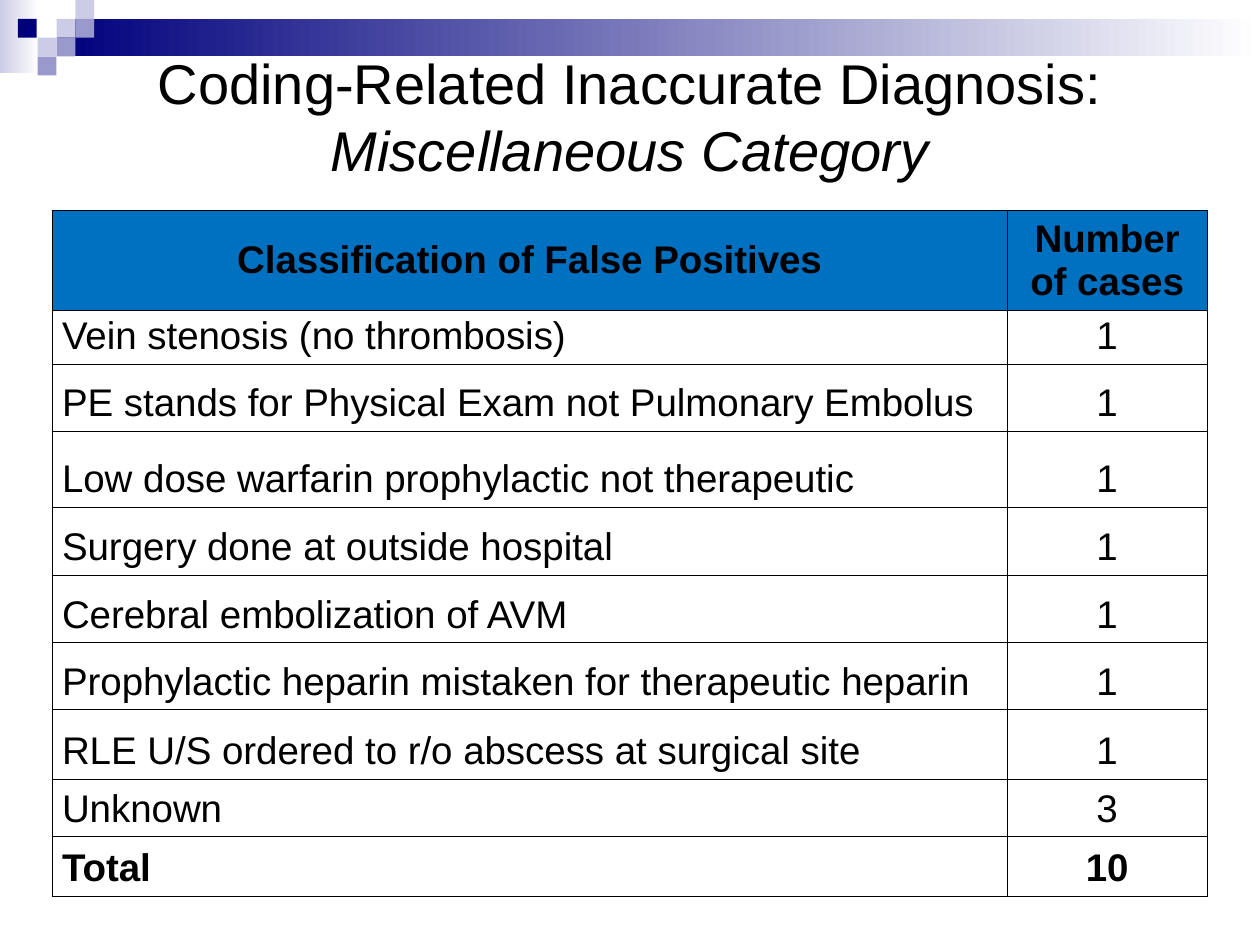
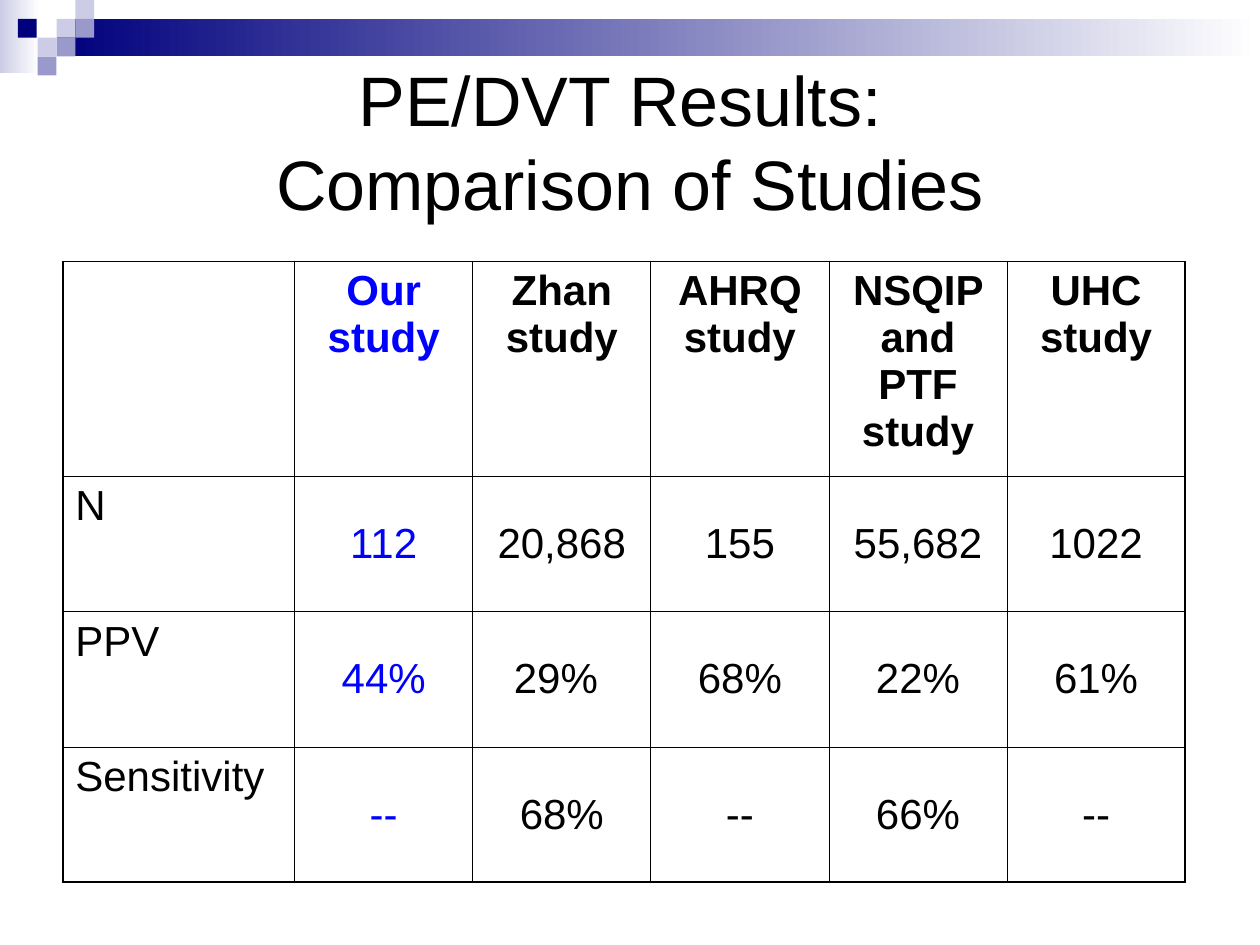
from collections.abc import Callable
from dataclasses import dataclass

import pptx
import pptx.dml.color
import pptx.enum.shapes
import pptx.enum.text
import pptx.oxml.ns
import pptx.slide
import pptx.table
import pptx.util
from lxml import etree

Cm = pptx.util.Cm
Pt = pptx.util.Pt
RGB = pptx.dml.color.RGBColor
ALIGN = pptx.enum.text.PP_ALIGN
ANCHOR = pptx.enum.text.MSO_ANCHOR
qn = pptx.oxml.ns.qn


@dataclass(frozen=True)
class Theme:
    font: str = "Arial"
    black: RGB = RGB(0x00, 0x00, 0x00)
    white: RGB = RGB(0xFF, 0xFF, 0xFF)
    navy: RGB = RGB(0x00, 0x00, 0x7D)
    lilac: RGB = RGB(0x99, 0x99, 0xCC)
    pale: RGB = RGB(0xCC, 0xCC, 0xE6)
    header: RGB = RGB(0x00, 0x70, 0xC0)
    highlight: RGB = RGB(0x00, 0x00, 0xFF)
    title_small: float = 32
    title_large: float = 40
    cases_text: float = 22
    studies_text: float = 24
    thin: float = 0.45
    thick: float = 1.08


THEME = Theme()


@dataclass(frozen=True)
class Band:
    left: float
    top: float
    width: float
    height: float
    colors: tuple[RGB, ...]  # one colour is solid, two are a gradient


@dataclass(frozen=True)
class Title:
    text: str
    top: float
    height: float
    size: float
    italic_last: bool = False


@dataclass(frozen=True)
class CellStyle:
    anchor: ANCHOR
    align: ALIGN = ALIGN.CENTER
    bold: bool = False
    color: RGB = THEME.black
    fill: RGB | None = None


@dataclass(frozen=True)
class Grid:
    left: float
    top: float
    widths: list[float]
    heights: list[float]
    values: list[tuple[str, ...]]
    size: float
    pad: float
    outer: float  # weight of the outside border
    style: Callable[[int, int], CellStyle]


# Corner mosaic and top bar: squares sit on a grid of one unit
UNIT = 0.38
SQUARES = [(3, 1, THEME.pale), (4, 0, THEME.pale), (4, 1, THEME.lilac),
           (2, 2, THEME.pale), (0.95, 1, THEME.navy), (3, 2, THEME.lilac),
           (2, 3, THEME.lilac)]
BANDS = [
    Band(0, 0, 0.79, 1.47, (THEME.pale, THEME.white)),
    Band(3 * UNIT, UNIT, 25.4 - 3 * UNIT, 2 * UNIT, (THEME.navy, THEME.white)),
    *(Band(col * UNIT, row * UNIT, UNIT, UNIT, (color,))
      for col, row, color in SQUARES),
]

# Slide content
CASES = [
    ("Classification of False Positives", "Number of cases"),
    ("Vein stenosis (no thrombosis)", "1"),
    ("PE stands for Physical Exam not Pulmonary Embolus", "1"),
    ("Low dose warfarin prophylactic not therapeutic", "1"),
    ("Surgery done at outside hospital", "1"),
    ("Cerebral embolization of AVM", "1"),
    ("Prophylactic heparin mistaken for therapeutic heparin", "1"),
    ("RLE U/S ordered to r/o abscess at surgical site", "1"),
    ("Unknown", "3"),
    ("Total", "10"),
]
STUDIES = [
    ("", "Our study", "Zhan study", "AHRQ study", "NSQIP and PTF study",
     "UHC study"),
    ("N", "112", "20,868", "155", "55,682", "1022"),
    ("PPV", "44%", "29% ", "68%", "22%", "61%"),
    ("Sensitivity", "--", "68%", "--", "66%", "--"),
]


def case_style(row: int, col: int) -> CellStyle:
    head = row == 0
    return CellStyle(
        anchor=ANCHOR.MIDDLE if head and col == 0 else ANCHOR.BOTTOM,
        align=ALIGN.CENTER if head or col else ALIGN.LEFT,
        bold=head or row == len(CASES) - 1,
        fill=THEME.header if head else None)


def study_style(row: int, col: int) -> CellStyle:
    return CellStyle(
        anchor=ANCHOR.MIDDLE if row and col else ANCHOR.TOP,
        align=ALIGN.CENTER if col else ALIGN.LEFT,
        bold=row == 0,
        color=THEME.highlight if col == 1 else THEME.black)


SLIDES = [
    (Title("Coding-Related Inaccurate Diagnosis:\vMiscellaneous Category",
           0.84, 2.97, THEME.title_small, italic_last=True),
     Grid(1.05, 4.24, [19.26, 4.02],
          [2.01, 1.1, 1.35, 1.52, 1.37, 1.37, 1.35, 1.4, 1.16, 1.2],
          CASES, THEME.cases_text, 0.2, THEME.thin, case_style)),
    (Title("PE/DVT Results: \vComparison of Studies",
           1.47, 2.74, THEME.title_large),
     Grid(1.27, 5.27, [4.67] + [3.59] * 5, [4.33, 2.73, 2.73, 2.72],
          STUDIES, THEME.studies_text, 0.25, THEME.thick, study_style)),
]


def add_band(s: pptx.slide.Slide, band: Band) -> None:
    sp = s.shapes.add_shape(
        pptx.enum.shapes.MSO_SHAPE.RECTANGLE, Cm(band.left), Cm(band.top),
        Cm(band.width), Cm(band.height))
    sp.shadow.inherit = False
    sp.line.fill.background()
    if len(band.colors) == 1:
        sp.fill.solid()
        sp.fill.fore_color.rgb = band.colors[0]
        return
    sp.fill.gradient()
    sp.fill.gradient_angle = 0
    for stop, color in zip(sp.fill.gradient_stops, band.colors):
        stop.color.rgb = color


def add_title(s: pptx.slide.Slide, title: Title) -> None:
    sp = s.shapes.add_textbox(Cm(1.27), Cm(title.top), Cm(22.86),
                              Cm(title.height))
    tf = sp.text_frame
    tf.word_wrap = True
    tf.vertical_anchor = ANCHOR.MIDDLE
    p = tf.paragraphs[0]
    p.text = title.text
    p.alignment = ALIGN.CENTER
    for r in p.runs:
        r.font.name = THEME.font
        r.font.size = Pt(title.size)
        r.font.color.rgb = THEME.black
    if title.italic_last:
        p.runs[-1].font.italic = True


def add_border(cell: pptx.table._Cell, side: str, weight: float) -> None:
    tc_pr = cell._tc.get_or_add_tcPr()
    ln = etree.SubElement(tc_pr, qn(f"a:ln{side}"), w=str(Pt(weight)))
    fill = etree.SubElement(ln, qn("a:solidFill"))
    etree.SubElement(fill, qn("a:srgbClr"), val=str(THEME.black))


def format_cell(cell: pptx.table._Cell, text: str, style: CellStyle,
                grid: Grid) -> None:
    cell.margin_left = cell.margin_right = Cm(grid.pad)
    # Bottom-anchored text needs no top margin, so low rows keep their height
    cell.margin_top = Cm(0 if style.anchor == ANCHOR.BOTTOM else 0.13)
    cell.margin_bottom = Cm(0.13)
    cell.vertical_anchor = style.anchor
    if style.fill is None:
        cell.fill.background()
    else:
        cell.fill.solid()
        cell.fill.fore_color.rgb = style.fill
    p = cell.text_frame.paragraphs[0]
    p.text = text
    p.alignment = style.align
    for r in p.runs:
        r.font.name = THEME.font
        r.font.size = Pt(grid.size)
        r.font.bold = style.bold
        r.font.color.rgb = style.color


def add_grid(s: pptx.slide.Slide, grid: Grid) -> None:
    n_rows, n_cols = len(grid.heights), len(grid.widths)
    table = s.shapes.add_table(
        n_rows, n_cols, Cm(grid.left), Cm(grid.top),
        Cm(sum(grid.widths)), Cm(sum(grid.heights))).table
    table.first_row = table.horz_banding = False
    for column, width in zip(table.columns, grid.widths):
        column.width = Cm(width)
    for table_row, height in zip(table.rows, grid.heights):
        table_row.height = Cm(height)
    for row, values in enumerate(grid.values):
        for col, text in enumerate(values):
            cell = table.cell(row, col)
            on_edge = {"L": col == 0, "R": col == n_cols - 1,
                       "T": row == 0, "B": row == n_rows - 1}
            for side, outside in on_edge.items():
                add_border(cell, side, grid.outer if outside else THEME.thin)
            format_cell(cell, text, grid.style(row, col), grid)


def main() -> None:
    prs = pptx.Presentation()
    prs.slide_width, prs.slide_height = Cm(25.4), Cm(19.05)
    for title, grid in SLIDES:
        s = prs.slides.add_slide(prs.slide_layouts[6])
        for band in BANDS:
            add_band(s, band)
        add_title(s, title)
        add_grid(s, grid)
    prs.save("out.pptx")


if __name__ == "__main__":
    main()
